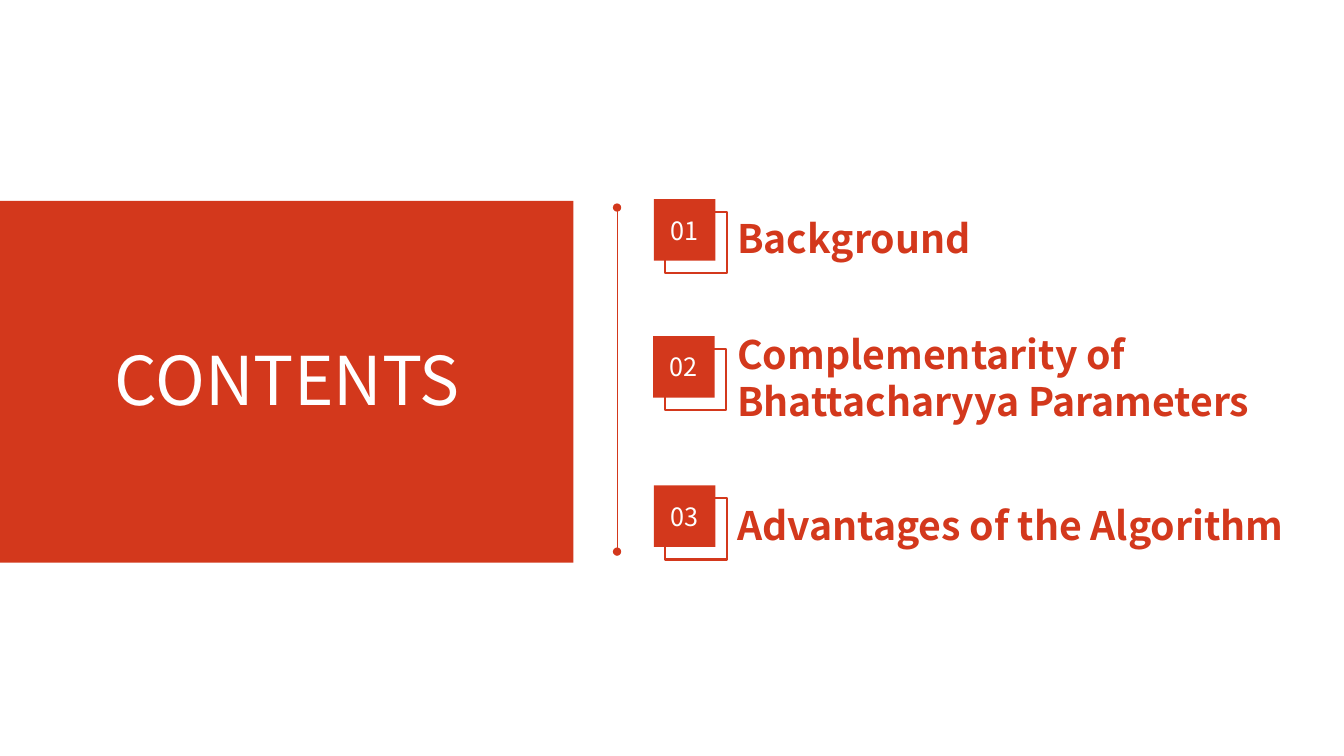
from lxml.etree import SubElement
from pptx import Presentation
from pptx.dml.color import RGBColor
from pptx.enum.shapes import MSO_CONNECTOR, MSO_SHAPE
from pptx.enum.text import MSO_ANCHOR, MSO_AUTO_SIZE, PP_ALIGN
from pptx.oxml.ns import qn
from pptx.util import Cm, Pt

RED = RGBColor(0xD3, 0x38, 0x1C)
WHITE = RGBColor(0xFF, 0xFF, 0xFF)
FONT = "Noto Sans CJK SC"
SIDE = 1.55


def write(frame, text, size, color, bold=False, align=PP_ALIGN.LEFT):
    para = frame.paragraphs[0]
    para.alignment = align
    run = para.add_run()
    run.text = text
    run.font.name = FONT
    run.font.size = Pt(size)
    run.font.bold = bold
    run.font.color.rgb = color


def block(left, top, width, height):
    """Add a red rectangle without outline or shadow."""
    rect = shapes.add_shape(MSO_SHAPE.RECTANGLE, Cm(left), Cm(top), Cm(width), Cm(height))
    rect.shadow.inherit = False
    rect.fill.solid()
    rect.fill.fore_color.rgb = RED
    rect.line.fill.background()
    return rect


deck = Presentation()
deck.slide_width = Cm(33.87)
deck.slide_height = Cm(19.05)
slide = deck.slides.add_slide(deck.slide_layouts[5])
shapes = slide.shapes

# Title on its red panel
panel = block(0, 5.06, 14.45, 9.12)
title = shapes.title
panel._element.addnext(title._element)
title.left, title.top, title.width, title.height = Cm(2.39), Cm(8.41), Cm(9.7), Cm(2.31)
frame = title.text_frame
frame.auto_size = MSO_AUTO_SIZE.NONE
frame.word_wrap = False
frame.vertical_anchor = MSO_ANCHOR.TOP
write(frame, "CONTENTS", 48, WHITE, align=PP_ALIGN.CENTER)

# Divider with round ends
rule = shapes.add_connector(MSO_CONNECTOR.STRAIGHT, Cm(15.55), Cm(5.23), Cm(15.55), Cm(13.9))
rule.line.color.rgb = RED
rule.line.width = Pt(0.5)
ends = rule.line._get_or_add_ln()
for tag in ("a:headEnd", "a:tailEnd"):
    SubElement(ends, qn(tag), type="oval")
SubElement(rule._element.spPr, qn("a:effectLst"))

# Numbered topics: mark left, mark top, label top, label width, label height
topics = [
    ("Background", 16.48, 5.02, 5.28, 8.43, 1.45),
    ("Complementarity of Bhattacharyya Parameters", 16.46, 8.47, 8.2, 14.05, 2.64),
    ("Advantages of the Algorithm", 16.48, 12.23, 12.5, 15.29, 1.45),
]
for num, (text, left, top, label_top, width, height) in enumerate(topics, 1):
    mark = block(left, top, SIDE, SIDE)
    mark.text_frame.vertical_anchor = MSO_ANCHOR.MIDDLE
    mark.text_frame.word_wrap = False
    write(mark.text_frame, f"{num:02}", 18, WHITE, align=PP_ALIGN.CENTER)

    edge = block(left + 0.29, top + 0.32, SIDE, SIDE)
    edge.fill.background()
    edge.line.color.rgb = RED
    edge.line.width = Pt(1.5)

    label = shapes.add_textbox(Cm(18.33), Cm(label_top), Cm(width), Cm(height))
    label.text_frame.word_wrap = True
    write(label.text_frame, text, 28, RED, bold=True)

deck.save("out.pptx")
